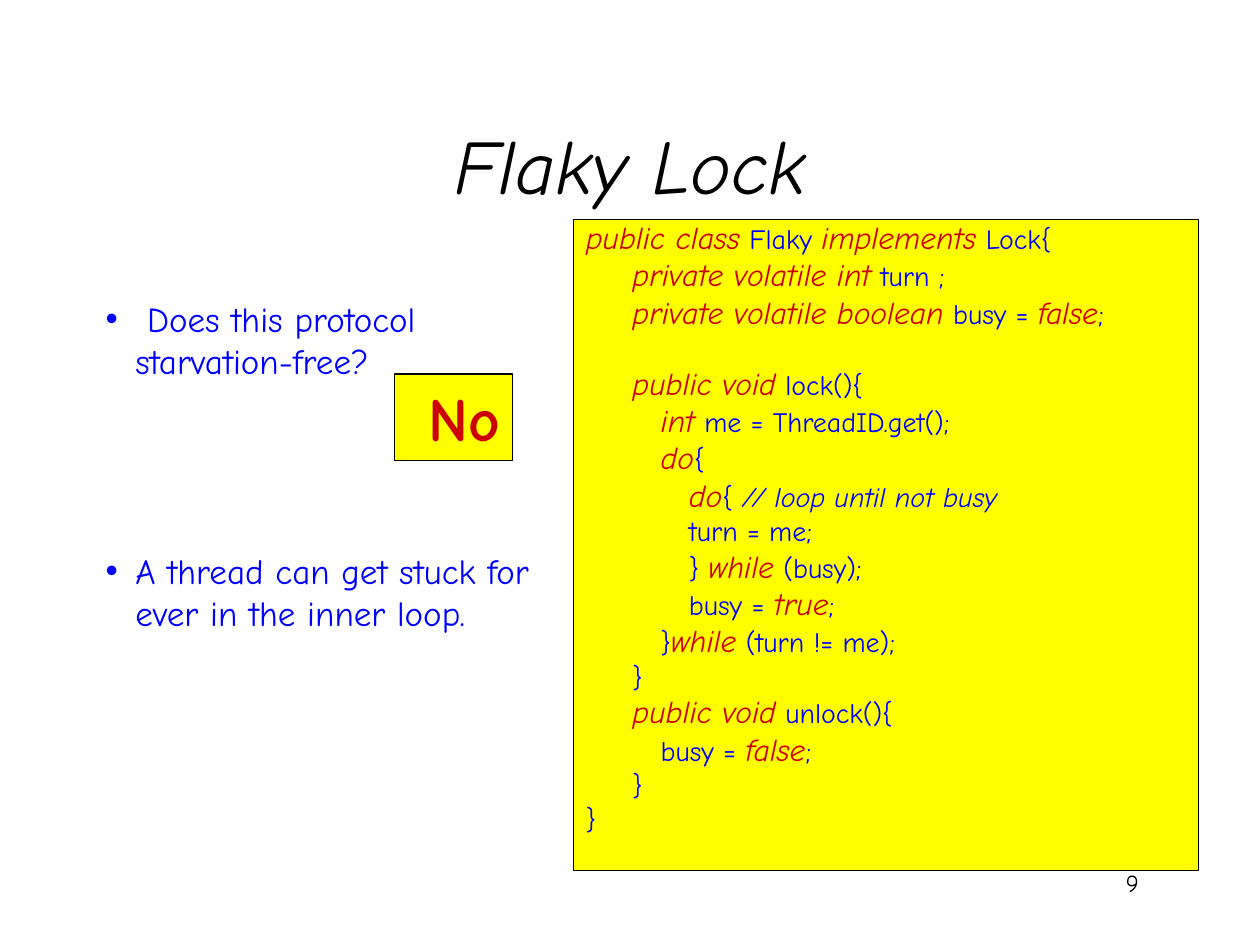
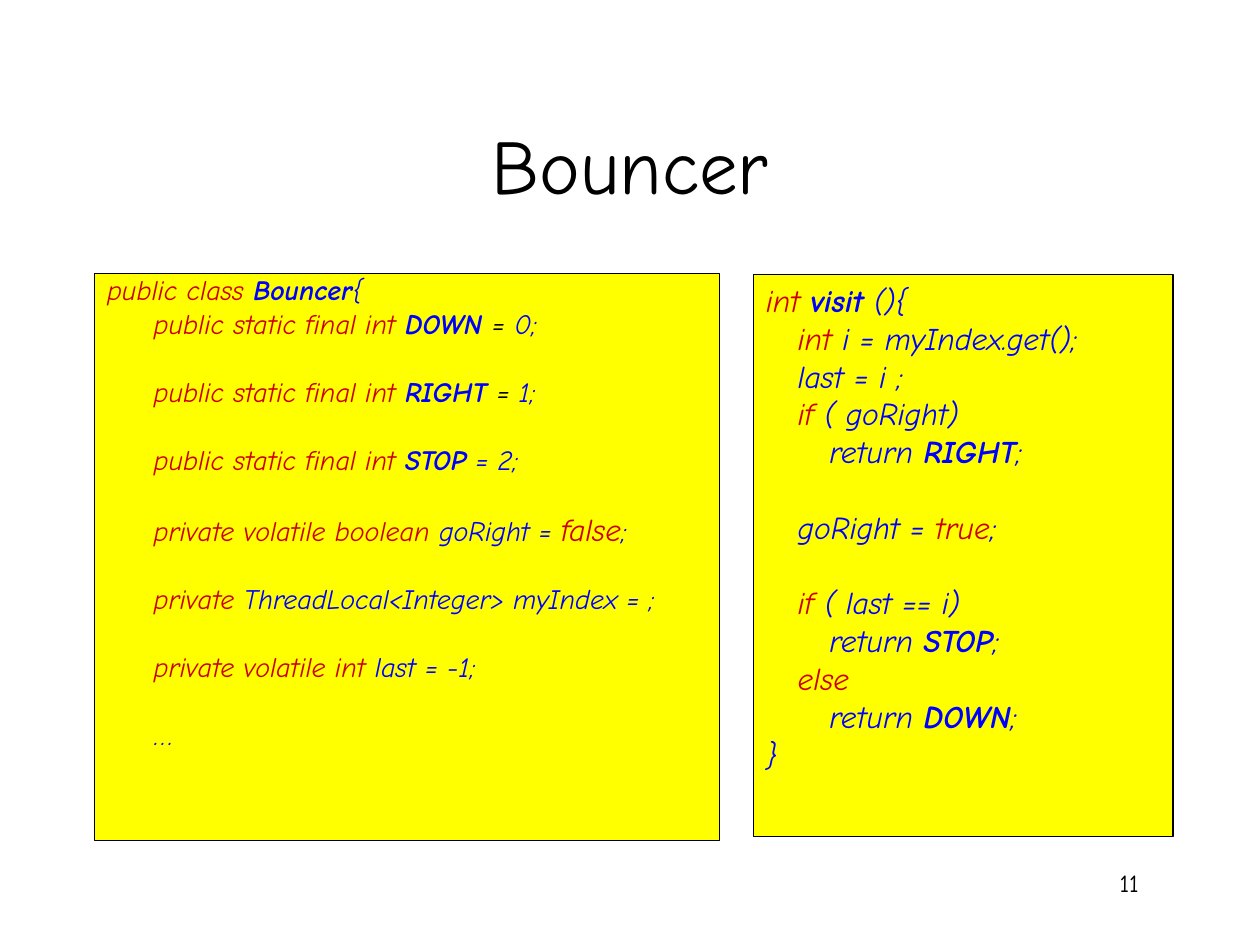
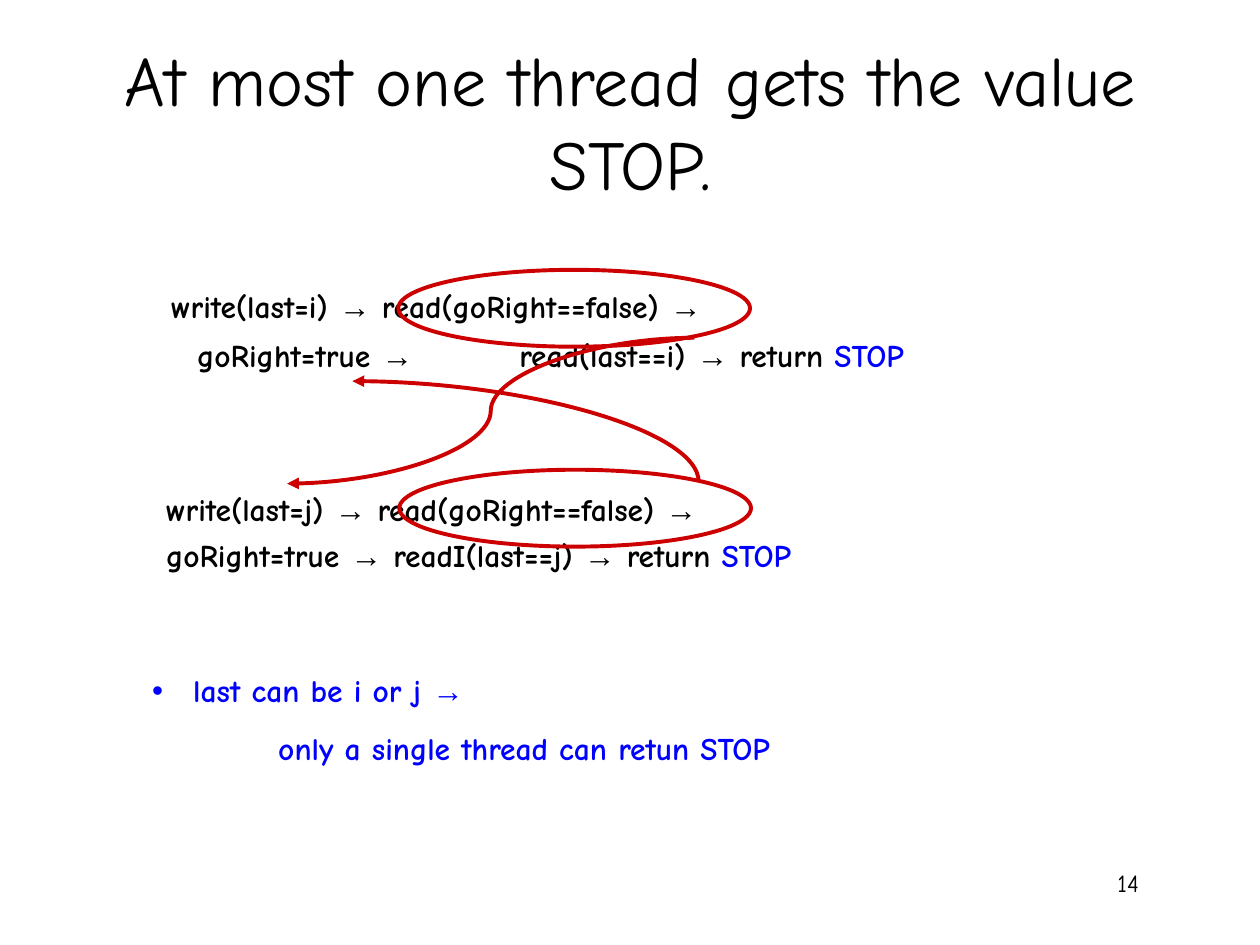
from dataclasses import dataclass

from lxml.etree import SubElement
from pptx import Presentation
from pptx.dml.color import RGBColor
from pptx.enum.shapes import MSO_CONNECTOR as Connector, MSO_SHAPE as Shape
from pptx.enum.text import MSO_ANCHOR as Anchor, MSO_AUTO_SIZE as AutoSize, PP_ALIGN as Align
from pptx.oxml.ns import qn
from pptx.util import Cm, Pt


@dataclass(frozen=True)
class Theme:
    font: str = "Comic Neue"
    arrow_font: str = "Arial"
    black: str = "000000"
    blue: str = "0000FF"
    red: str = "CC0000"
    yellow: str = "FFFF00"
    title: int = 44
    long_title: int = 40
    answer: int = 35
    question: int = 20
    large: int = 18
    code: int = 16
    number: int = 14
    border: float = 0.75
    stroke: float = 2.25


@dataclass(frozen=True)
class Style:
    color: str
    bold: bool = False
    italic: bool = False
    size: int = 0


@dataclass(frozen=True)
class Block:
    place: tuple
    lines: list
    size: int
    filled: bool = False
    bulleted: bool = False
    align: Align = Align.LEFT
    before: float = 0
    gap: float = 0
    spacing: float = 1.0
    first_step: float = 0
    step: float = 0


THEME = Theme()
STYLES = {
    "title": Style(THEME.black),
    "slanted": Style(THEME.black, italic=True),
    "plain": Style(THEME.blue),
    "code": Style(THEME.blue, italic=True),
    "name": Style(THEME.blue, bold=True, italic=True),
    "key": Style(THEME.red, italic=True),
    "big": Style(THEME.red, italic=True, size=THEME.large),
    "answer": Style(THEME.red, bold=True),
    "step": Style(THEME.black, bold=True),
    "result": Style(THEME.blue, bold=True),
}
CLASS_LAYOUT = dict(size=THEME.code, filled=True, before=4, gap=19.4,
                    spacing=0.8, first_step=0.94, step=0.57)
METHOD_LAYOUT = dict(size=THEME.large, filled=True, gap=21.6, first_step=0.64, step=0.64)
ARROW = ("→", "step")
BULLET_INDENT = 0.6
TITLE_PLACE = (1.91, 1.7, 21.59, 3.18)
NUMBER_PLACE = (17.93, 17.37, 5.28, 1.27)

FLAKY = [
    (0, [("public class", "big"), (" Flaky ", "plain"), ("implements", "big"), (" Lock{", "plain")]),
    (1, [("private volatile int", "big"), (" turn ;", "plain")]),
    (1, [("private volatile boolean", "big"), (" busy = ", "plain"), ("false", "big"), (";", "plain")]),
    None,
    (1, [("public void", "big"), (" lock(){", "plain")]),
    (2, [("int", "big"), (" me = ThreadID.get();", "plain")]),
    (2, [("do", "big"), ("{", "plain")]),
    (3, [("do", "big"), ("{", "plain"), (" // loop until not busy", "code")]),
    (3, [("turn = me;", "plain")]),
    (3, [("} ", "plain"), ("while", "big"), (" (busy);", "plain")]),
    (3, [("busy = ", "plain"), ("true", "big"), (";", "plain")]),
    (2, [("}", "plain"), ("while", "big"), (" (turn != me);", "plain")]),
    (1, [("}", "plain")]),
    (1, [("public void", "big"), (" unlock(){", "plain")]),
    (2, [("busy = ", "plain"), ("false", "big"), (";", "plain")]),
    (1, [("}", "plain")]),
    (0, [("}", "plain")]),
]
QUESTIONS = [
    (0, [(" Does this protocol starvation-free?", "plain")]),
    None,
    (0, [("A thread can get stuck for ever in the inner loop.", "plain")]),
]
BOUNCER = [
    (0, [("public class ", "key"), ("Bouncer", "name"), ("{", "code")]),
    (1, [("public static final int ", "key"), ("DOWN ", "name"), ("=", "slanted"), (" 0;", "code")]),
    None,
    (1, [("public static final int ", "key"), ("RIGHT ", "name"), ("=", "slanted"), (" 1;", "code")]),
    None,
    (1, [("public static final int ", "key"), ("STOP", "name"), (" = 2;", "code")]),
    None,
    (1, [("private volatile boolean", "key"), (" goRight = ", "code"), ("false", "big"), (";", "code")]),
    None,
    (1, [("private", "key"), (" ThreadLocal<Integer> myIndex = ;", "code")]),
    None,
    (1, [("private volatile int", "key"), (" last = -1;", "code")]),
    None,
    (1, [("…", "code")]),
]
VISIT = [
    (0, [("int ", "key"), ("visit", "name"), (" (){", "code")]),
    (1, [("int", "key"), (" i = myIndex.get();", "code")]),
    (1, [("last = i ;", "code")]),
    (1, [("if", "key"), (" ( goRight)", "code")]),
    (2, [("return ", "code"), ("RIGHT", "name"), (";", "code")]),
    None,
    (1, [("goRight = ", "code"), ("true", "key"), (";", "code")]),
    None,
    (1, [("if ", "key"), ("( last == i)", "code")]),
    (2, [("return ", "code"), ("STOP", "name"), (";", "code")]),
    (1, [("else", "key")]),
    (2, [("return ", "code"), ("DOWN", "name"), (";", "code")]),
    (0, [("}", "code")]),
]
FIRST_WRITE = [
    (0, [("write(last=i) ", "step"), ARROW, (" read(goRight==false) ", "step"), ARROW]),
]
SECOND_THREAD = [
    (0, [("write(last=j) ", "step"), ARROW, (" read(goRight==false) ", "step"), ARROW]),
    (0, [("goRight=true ", "step"), ARROW, (" readI(last==j) ", "step"), ARROW,
         (" return ", "step"), ("STOP", "result")]),
]
FIRST_CLOSE = [(0, [("goRight=true ", "step"), ARROW])]
FIRST_RETURN = [
    (0, [("read(last==i) ", "step"), ARROW, (" return ", "step"), ("STOP", "result")]),
]
CONCLUSION = [
    (0, [(" last can be i or j ", "result"), ("→", "result")]),
    (1, [("only a single thread can retun STOP", "result")]),
]

PAGES = [
    dict(number="9", title="Flaky Lock", style="slanted", blocks=[
        Block((11.56, 4.42, 12.6, 13.13), FLAKY, **CLASS_LAYOUT),
        Block((1.88, 5.87, 9.17, 7.87), QUESTIONS, THEME.question, bulleted=True, gap=96),
        Block((7.95, 7.54, 2.39, 1.75), [(0, [("No", "answer")])], THEME.answer,
              filled=True, align=Align.RIGHT),
    ]),
    dict(number="11", title="Bouncer", blocks=[
        Block((1.91, 5.51, 12.6, 11.43), BOUNCER, **CLASS_LAYOUT),
        Block((15.19, 5.54, 8.46, 11.33), VISIT, **METHOD_LAYOUT),
    ]),
    dict(number="14", title="At most one thread gets the value STOP.", size=THEME.long_title,
         place=(1.91, 0.61, 21.59, 5.33), anchor=Anchor.TOP, blocks=[
        Block((3.2, 5.66, 19.91, 1.02), FIRST_WRITE, THEME.large, before=4.5),
        Block((3.1, 9.75, 19.81, 1.96), SECOND_THREAD, THEME.large, before=4.5),
        Block((2.97, 6.65, 5.61, 2.54), FIRST_CLOSE, THEME.large, before=4.5, align=Align.RIGHT),
        Block((7.62, 6.65, 10.85, 1.02), FIRST_RETURN, THEME.large, align=Align.RIGHT),
        Block((2.82, 13.41, 17.42, 2.18), CONCLUSION, THEME.large, bulleted=True,
              before=11.2, first_step=2.54),
    ], ovals=[(8.05, 9.47, 7.09, 1.55), (8.03, 5.44, 7.09, 1.55)], curves=[
        dict(ends=(9.58, 12.19, 11.61, 5.21), preset="curvedConnector2", turn=270),
        dict(ends=(14, 6.81, 5.79, 9.75), preset="curvedConnector3", turn=0),
    ]),
]


def lengths(values):
    return [Cm(value) for value in values]


def color(value):
    return RGBColor.from_string(value)


def add_span(para, text, style_name, size):
    style = STYLES[style_name]
    span = para.add_run()
    span.text = text
    font = span.font
    font.name = THEME.arrow_font if text == "→" else THEME.font
    font.size = Pt(style.size or size)
    font.bold, font.italic = style.bold, style.italic
    font.color.rgb = color(style.color)


def indent(para, left, first_line=0):
    properties = para._p.get_or_add_pPr()
    properties.set("marL", str(Cm(left)))
    properties.set("indent", str(Cm(first_line)))
    return properties


def add_bullet(para):
    properties = indent(para, BULLET_INDENT, -BULLET_INDENT)
    tint = SubElement(properties, qn("a:buClr"))
    SubElement(tint, qn("a:srgbClr"), val=THEME.blue)
    SubElement(properties, qn("a:buFont"), typeface=THEME.arrow_font)
    SubElement(properties, qn("a:buChar"), char="•")


def fill_frame(frame, block):
    frame.word_wrap = True
    frame.vertical_anchor = Anchor.TOP
    para, skipped = frame.paragraphs[0], 0
    for index, line in enumerate(block.lines):
        if line is None:
            skipped = block.gap
            continue
        level, spans = line
        if index:
            para = frame.add_paragraph()
        para.alignment = block.align
        para.line_spacing = block.spacing
        para.space_before = Pt(block.before + skipped)
        skipped = 0
        if block.bulleted and level == 0:
            add_bullet(para)
        elif level:
            indent(para, block.first_step + (level - 1) * block.step)
        for text, style_name in spans:
            add_span(para, text, style_name, block.size)


def add_block(page, block):
    place = lengths(block.place)
    if block.filled:
        box = page.shapes.add_shape(Shape.RECTANGLE, *place)
        box.shadow.inherit = False
        box.fill.solid()
        box.fill.fore_color.rgb = color(THEME.yellow)
        box.line.color.rgb = color(THEME.black)
        box.line.width = Pt(THEME.border)
    else:
        box = page.shapes.add_textbox(*place)
    fill_frame(box.text_frame, block)


def add_title(page, text, style="title", size=THEME.title, place=TITLE_PLACE, anchor=Anchor.MIDDLE):
    box = page.shapes.title
    box.left, box.top, box.width, box.height = lengths(place)
    frame = box.text_frame
    frame.auto_size = AutoSize.NONE
    frame.word_wrap = True
    frame.vertical_anchor = anchor
    para = frame.paragraphs[0]
    para.alignment = Align.CENTER
    add_span(para, text, style, size)


def draw_stroke(line):
    line.color.rgb = color(THEME.red)
    line.width = Pt(THEME.stroke)


def add_oval(page, place):
    oval = page.shapes.add_shape(Shape.OVAL, *lengths(place))
    oval.shadow.inherit = False
    oval.fill.background()
    draw_stroke(oval.line)


def add_curve(page, ends, preset, turn):
    curve = page.shapes.add_connector(Connector.CURVE, *lengths(ends))
    draw_stroke(curve.line)
    SubElement(curve.line._get_or_add_ln(), qn("a:tailEnd"), type="triangle")
    properties = curve._element.spPr
    SubElement(properties, qn("a:effectLst"))
    properties.find(qn("a:prstGeom")).set("prst", preset)
    properties.find(qn("a:xfrm")).set("rot", str(turn * 60000))


def add_page(deck, number, title, blocks, ovals=(), curves=(), **title_look):
    page = deck.slides.add_slide(deck.slide_layouts[5])
    add_title(page, title, **title_look)
    add_block(page, Block(NUMBER_PLACE, [(0, [(number, "title")])], THEME.number, align=Align.RIGHT))
    for block in blocks:
        add_block(page, block)
    for place in ovals:
        add_oval(page, place)
    for curve in curves:
        add_curve(page, **curve)


def main():
    deck = Presentation()
    deck.slide_width, deck.slide_height = Cm(25.4), Cm(19.05)
    for content in PAGES:
        add_page(deck, **content)
    deck.save("out.pptx")


if __name__ == "__main__":
    main()
